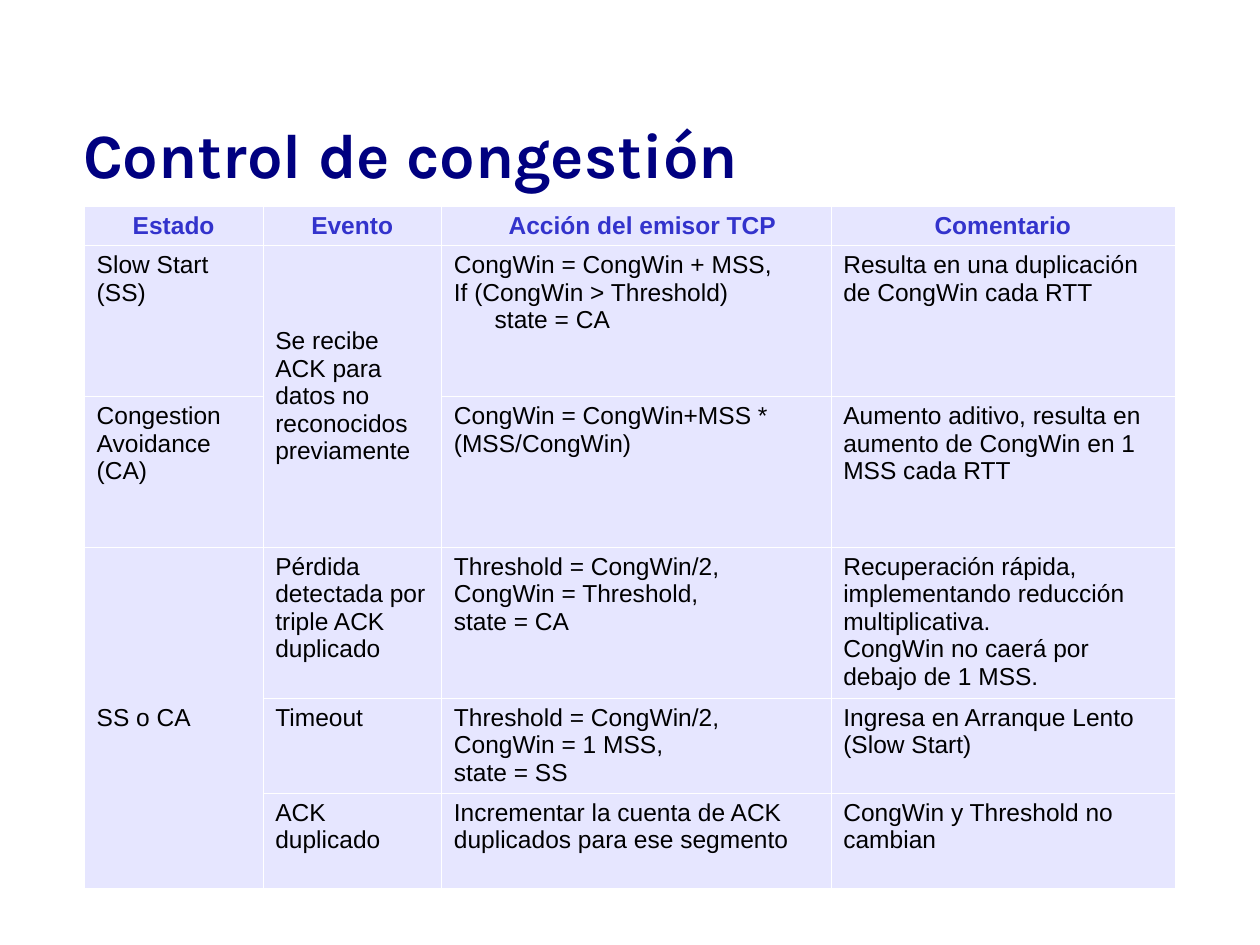
import pptx
import pptx.dml.color
import pptx.enum.text
import pptx.oxml
import pptx.oxml.ns
import pptx.util

Cm = pptx.util.Cm
Pt = pptx.util.Pt
ALIGN = pptx.enum.text.PP_ALIGN
ANCHOR = pptx.enum.text.MSO_ANCHOR

COLORS = {"title": "000080", "heading": "3333CC", "body": "000000",
          "cell": "E6E6FF", "border": "FFFFFF"}
COLUMN_WIDTHS = [3.6, 3.6, 7.85, 6.93]
ROW_HEIGHTS = [0.8, 3.04, 3.04, 3.04, 1.92, 1.92]
CONGESTION_RULES = [
    ["Estado", "Evento", "Acción del emisor TCP", "Comentario"],
    ["Slow Start (SS)",
     "Se recibe ACK para datos no reconocidos previamente",
     "CongWin = CongWin + MSS,\nIf (CongWin > Threshold)\n      state = CA",
     "Resulta en una duplicación de CongWin cada RTT"],
    ["Congestion\nAvoidance (CA)", None,
     "CongWin = CongWin+MSS * (MSS/CongWin)",
     "Aumento aditivo, resulta en aumento de CongWin en 1 MSS cada RTT"],
    ["SS o CA", "Pérdida detectada por triple ACK duplicado",
     "Threshold = CongWin/2,\nCongWin = Threshold,\nstate = CA",
     "Recuperación rápida, implementando reducción multiplicativa.\n"
     "CongWin no caerá por debajo de 1 MSS."],
    [None, "Timeout",
     "Threshold = CongWin/2,\nCongWin = 1 MSS,\nstate = SS",
     "Ingresa en Arranque Lento (Slow Start)"],
    [None, "ACK duplicado",
     "Incrementar la cuenta de ACK duplicados para ese segmento",
     "CongWin y Threshold no cambian"],
]
SPANS = [((1, 1), (2, 1)), ((3, 0), (5, 0))]


def rgb(name):
    """Return the named palette colour."""
    return pptx.dml.color.RGBColor.from_string(COLORS[name])


def write_text(frame, text, font="Arial", size=14, color="body", bold=False,
               align=ALIGN.LEFT):
    """Write one formatted paragraph for each line of text."""
    frame.word_wrap = True
    frame.text = text
    for paragraph in frame.paragraphs:
        paragraph.alignment = align
        paragraph.space_before = Pt(0)
        for run in paragraph.runs:
            run.font.name = font
            run.font.size = Pt(size)
            run.font.bold = bold
            run.font.color.rgb = rgb(color)


def style_cell(cell):
    """Give a cell its fill, margins and hairline borders."""
    cell.fill.solid()
    cell.fill.fore_color.rgb = rgb("cell")
    cell.margin_left = cell.margin_right = Cm(0.25)
    cell.margin_top = cell.margin_bottom = Cm(0.12)
    properties = cell._tc.get_or_add_tcPr()
    for position, side in enumerate(("lnL", "lnR", "lnT", "lnB")):
        properties.insert(position, pptx.oxml.parse_xml(
            f'<a:{side} {pptx.oxml.ns.nsdecls("a")} w="762"><a:solidFill>'
            f'<a:srgbClr val="{COLORS["border"]}"/></a:solidFill></a:{side}>'))


def place_title(slide, left, top, width, height):
    """Place the slide title in its box."""
    title = slide.shapes.title
    title.left, title.top = Cm(left), Cm(top)
    title.width, title.height = Cm(width), Cm(height)
    frame = title.text_frame
    frame.auto_size = pptx.enum.text.MSO_AUTO_SIZE.NONE
    frame.vertical_anchor = ANCHOR.MIDDLE
    write_text(frame, "Control de congestión", font="Karla", size=36,
               color="title", bold=True)


def place_rules(slide, left, top, width, height):
    """Place the table of congestion rules, scaled to its box."""
    rules = slide.shapes.add_table(
        len(ROW_HEIGHTS), len(COLUMN_WIDTHS),
        Cm(left), Cm(top), Cm(width), Cm(height)).table
    for column, share in zip(rules.columns, COLUMN_WIDTHS):
        column.width = Cm(width * share / sum(COLUMN_WIDTHS))
    for row, share in zip(rules.rows, ROW_HEIGHTS):
        row.height = Cm(height * share / sum(ROW_HEIGHTS))
    for row_index, entries in enumerate(CONGESTION_RULES):
        heading = {"color": "heading", "bold": True, "align": ALIGN.CENTER}
        text_format = heading if row_index == 0 else {}
        for column_index, entry in enumerate(entries):
            cell = rules.cell(row_index, column_index)
            style_cell(cell)
            if entry:
                write_text(cell.text_frame, entry, **text_format)
    rules.cell(0, 2).margin_left = Cm(0.5)
    for first, last in SPANS:
        rules.cell(*first).merge(rules.cell(*last))
        rules.cell(*first).vertical_anchor = ANCHOR.MIDDLE


def main():
    """Build and save the slide."""
    deck = pptx.Presentation()
    deck.slide_width, deck.slide_height = Cm(25.4), Cm(19.05)
    slide = deck.slides.add_slide(deck.slide_layouts[5])
    place_title(slide, 1.42, 1.55, 22.38, 3.07)
    place_rules(slide, 1.7, 4.15, 21.98, 13.76)
    deck.save("out.pptx")


if __name__ == "__main__":
    main()
